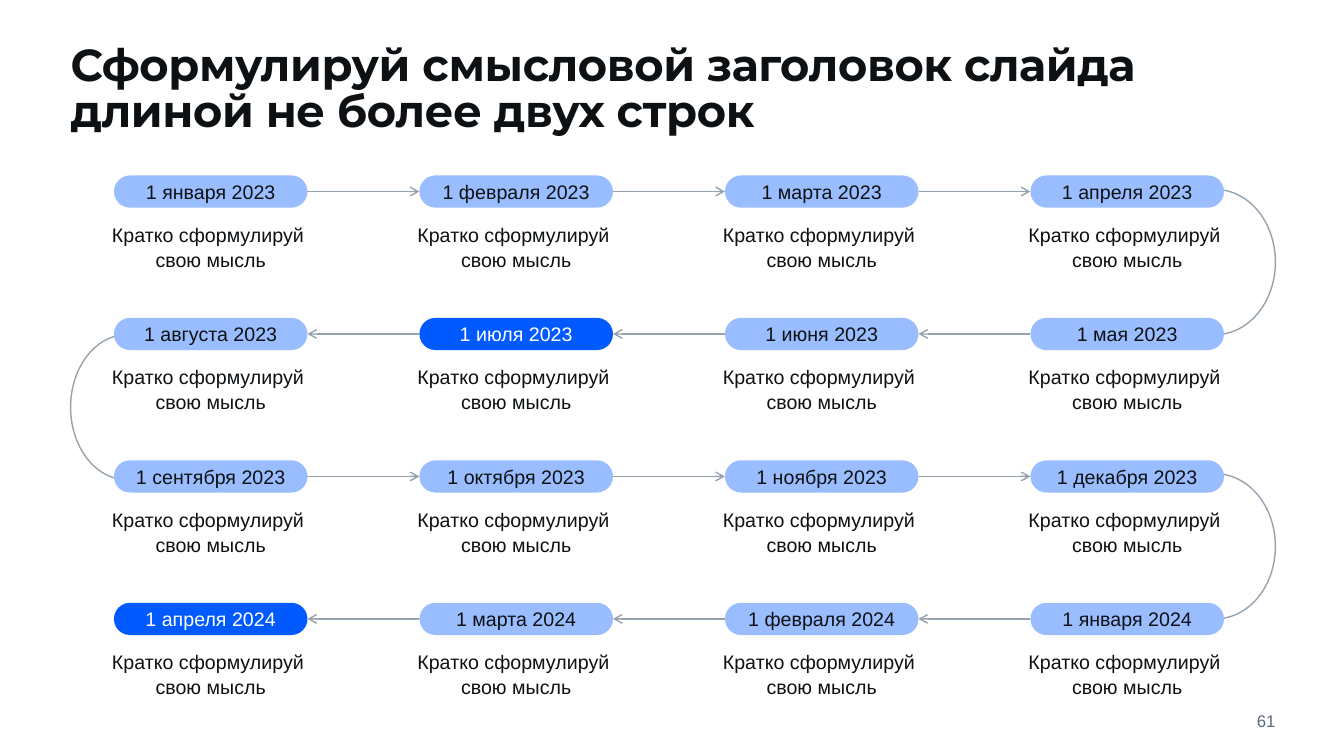
"""Build a snake-shaped timeline slide with sixteen dated milestones."""
import pptx
import pptx.util
import pptx.dml.color
import pptx.enum.shapes
import pptx.enum.text
import pptx.oxml.ns
import lxml.etree

Inches = pptx.util.Inches
Pt = pptx.util.Pt
RGBColor = pptx.dml.color.RGBColor
Align = pptx.enum.text.PP_ALIGN
Anchor = pptx.enum.text.MSO_ANCHOR
Shapes = pptx.enum.shapes.MSO_SHAPE
qn = pptx.oxml.ns.qn

INK = RGBColor(0x0E, 0x11, 0x14)
SLATE = RGBColor(0x5A, 0x6C, 0x7D)
GRAY = RGBColor(0x96, 0xA3, 0xAE)
LIGHT_BLUE = RGBColor(0x99, 0xBD, 0xFF)
BLUE = RGBColor(0x00, 0x5A, 0xFF)
WHITE = RGBColor(0xFF, 0xFF, 0xFF)

COLUMNS = 4
GRID_LEFT, COLUMN_STEP = 1.13, 3.03
GRID_TOP, ROW_STEP = 1.74, 4.24 / 3
PILL_WIDTH, PILL_HEIGHT = 1.92, 0.32
DATES = [
    "1 января 2023", "1 февраля 2023", "1 марта 2023", "1 апреля 2023",
    "1 мая 2023", "1 июня 2023", "1 июля 2023", "1 августа 2023",
    "1 сентября 2023", "1 октября 2023", "1 ноября 2023", "1 декабря 2023",
    "1 января 2024", "1 февраля 2024", "1 марта 2024", "1 апреля 2024",
]
HIGHLIGHTS = {"1 июля 2023", "1 апреля 2024"}
TURNS = [(11.46, 1.88, 1.19, False), (0.7, 3.32, 1.12, True), (11.46, 4.7, 1.19, False)]

presentation = pptx.Presentation()
presentation.slide_width = Inches(13.33)
presentation.slide_height = Inches(7.5)
slide = presentation.slides.add_slide(presentation.slide_layouts[6])


def write(shape, text, size, color, align, anchor=Anchor.TOP, font="Arial"):
    """Fill a shape with one styled paragraph and return the paragraph."""
    frame = shape.text_frame
    frame.text = text
    frame.word_wrap = True
    frame.vertical_anchor = anchor
    frame.margin_left = frame.margin_right = frame.margin_top = frame.margin_bottom = 0
    paragraph = frame.paragraphs[0]
    paragraph.alignment = align
    for run in paragraph.runs:
        run.font.name = font
        run.font.size = Pt(size)
        run.font.color.rgb = color
    return paragraph


def add_text_box(left, top, width, height):
    """Add an empty text box measured in inches."""
    return slide.shapes.add_textbox(Inches(left), Inches(top), Inches(width), Inches(height))


for left, top, width, mirrored in TURNS:
    arc = slide.shapes.add_shape(
        Shapes.ARC, Inches(left), Inches(top), Inches(width), Inches(1.44))
    arc.adjustments[0] = 162
    arc.adjustments[1] = 54.45
    arc.shadow.inherit = False
    arc.fill.background()
    arc.line.color.rgb = GRAY
    arc.line.width = Pt(1)
    if mirrored:
        arc.element.spPr.find(qn("a:xfrm")).set("flipH", "1")

write(add_text_box(11.66, 7.03, 0.99, 0.24), "61", 12, SLATE, Align.RIGHT, Anchor.MIDDLE)

title = write(add_text_box(0.7, 0.45, 11.93, 0.75),
              "Сформулируй смысловой заголовок слайда длиной не более двух строк",
              32, INK, Align.LEFT, font="Montserrat")
title.line_spacing = 0.85
title.runs[0].font.bold = True
title.runs[0].font.element.set("spc", "-30") if hasattr(title.runs[0].font, "element") else \
    title.runs[0].font._element.set("spc", "-30")

pills = []
for index, date in enumerate(DATES):
    row, step = divmod(index, COLUMNS)
    column = step if row % 2 == 0 else COLUMNS - 1 - step
    left = GRID_LEFT + column * COLUMN_STEP
    top = GRID_TOP + row * ROW_STEP
    highlighted = date in HIGHLIGHTS

    pill = slide.shapes.add_shape(
        Shapes.ROUNDED_RECTANGLE, Inches(left), Inches(top),
        Inches(PILL_WIDTH), Inches(PILL_HEIGHT))
    pill.adjustments[0] = 0.5
    pill.shadow.inherit = False
    pill.fill.solid()
    pill.fill.fore_color.rgb = BLUE if highlighted else LIGHT_BLUE
    pill.line.fill.background()
    write(pill, date, 14, WHITE if highlighted else INK, Align.CENTER, Anchor.MIDDLE)
    pills.append(pill)

    caption = write(add_text_box(left - 0.03, top + 0.46, 1.98, 0.47),
                    "Кратко сформулируй \vсвою мысль", 14, INK, Align.CENTER)
    caption.line_spacing = 1.05

for index in range(1, len(pills)):
    row, step = divmod(index, COLUMNS)
    if step == 0:
        continue
    start_side, end_side = (3, 1) if row % 2 == 0 else (1, 3)
    arrow = slide.shapes.add_connector(pptx.enum.shapes.MSO_CONNECTOR.STRAIGHT, 0, 0, 0, 0)
    arrow.begin_connect(pills[index - 1], start_side)
    arrow.end_connect(pills[index], end_side)
    arrow.line.color.rgb = GRAY
    arrow.line.width = Pt(1)
    line = arrow.line._get_or_add_ln()
    lxml.etree.SubElement(line, qn("a:tailEnd"), type="arrow")
    lxml.etree.SubElement(arrow.element.spPr, qn("a:effectLst"))

presentation.save("out.pptx")
